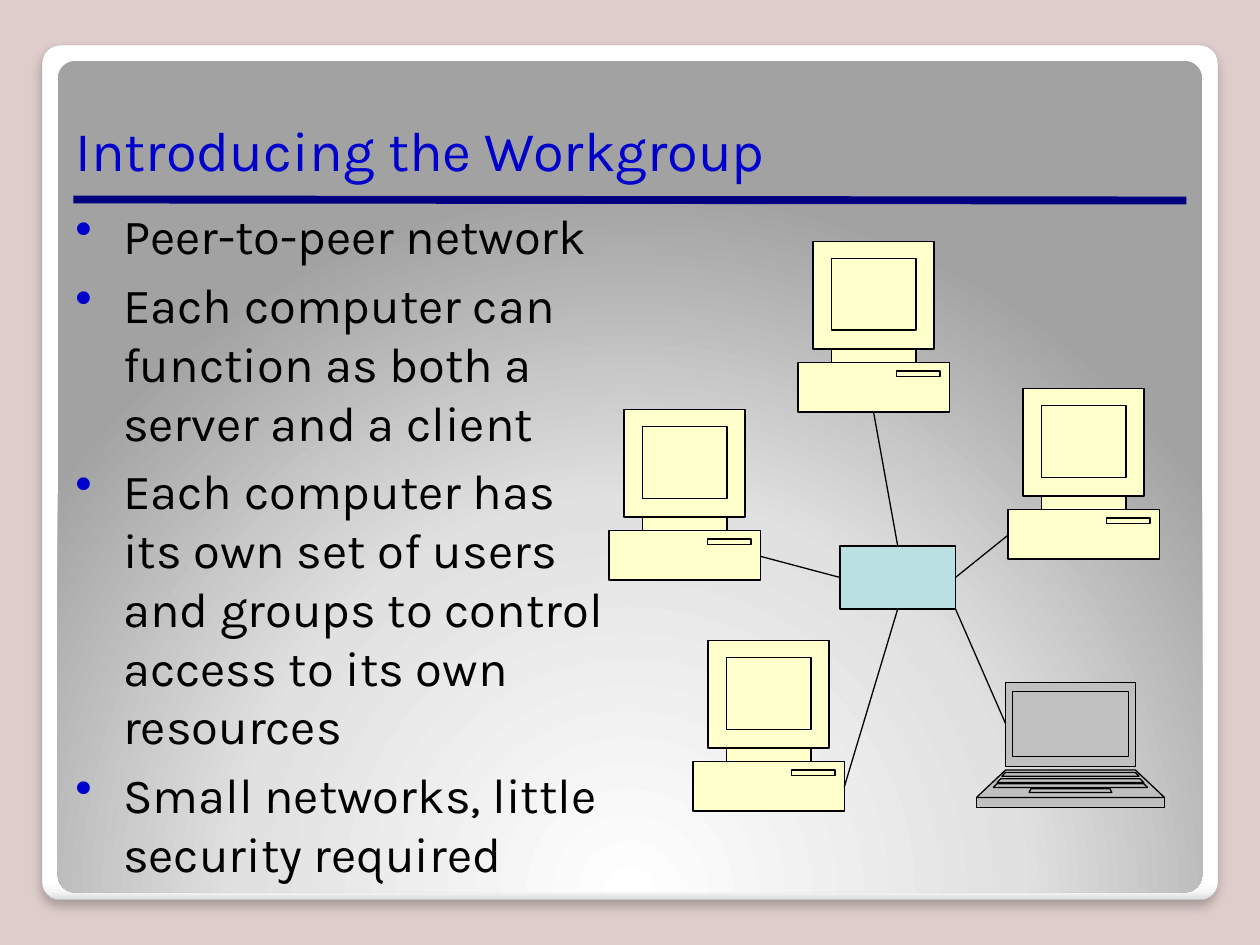
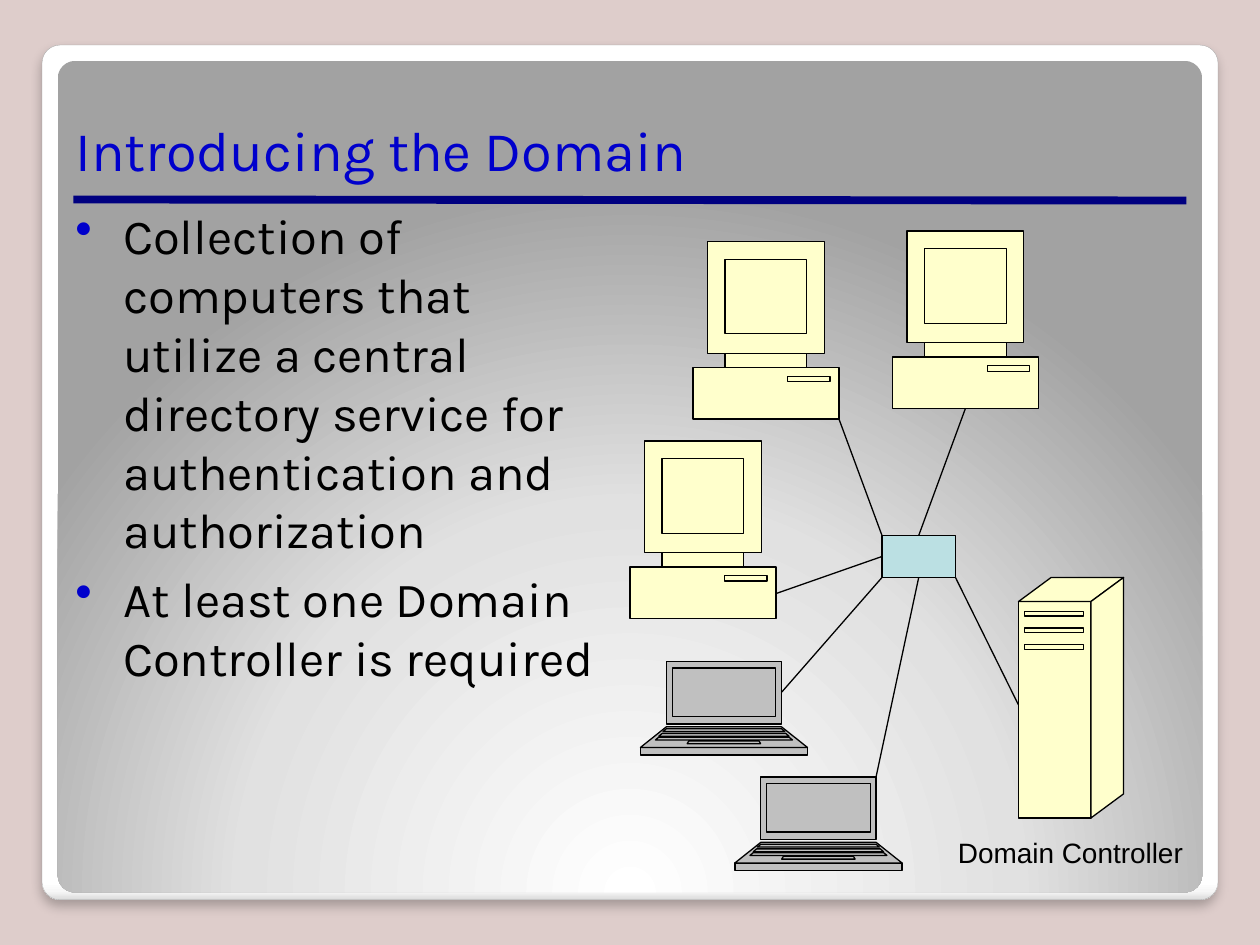
from collections import namedtuple
from itertools import pairwise

from lxml.etree import SubElement
from pptx import Presentation
from pptx.dml.color import RGBColor
from pptx.enum.shapes import MSO_CONNECTOR, MSO_SHAPE
from pptx.enum.text import MSO_ANCHOR, MSO_AUTO_SIZE, PP_ALIGN
from pptx.oxml.ns import qn
from pptx.util import Inches, Pt

COLUMNS, ROWS = 120, 90
WIDTH, HEIGHT = Inches(10), Inches(7.5)

BLACK, BLUE, NAVY = "000000", "0000CC", "000080"
BACKDROP, CARD_EDGE = "DECDCB", "A4A4A4"
CREAM, SILVER, HUB_BLUE = "FFFFCC", "C0C0C0", "BBE0E3"
CARD_STOPS = [(0, "FFFFFF"), (98, "FFFFFF"), (99, "F7F7F7"), (100, "DADADA")]
PANEL_STOPS = [(0, "FFFFFF"), (55, "E1E1E1"), (100, "A2A2A2")]

HUB_SITES = {(0.5, 0): 0, (0, 0.5): 1, (0.5, 1): 2, (1, 0.5): 3}


class Box(namedtuple("Box", "column row columns rows")):
    """A rectangle on the slide grid."""

    def point(self, across, down):
        """Slide position of a point given as shares of the box."""
        return (round((self.column + across * self.columns) * WIDTH / COLUMNS),
                round((self.row + down * self.rows) * HEIGHT / ROWS))

    def frame(self):
        left, top = self.point(0, 0)
        right, bottom = self.point(1, 1)
        return left, top, right - left, bottom - top


Device = namedtuple("Device", "draw box link hub_link")


def color(hex_string):
    return RGBColor.from_string(hex_string)


def add_xml(parent, tag, **attributes):
    return SubElement(parent, qn(tag), {name: str(value) for name, value in attributes.items()})


def paint(shape, fill=None, line=None, line_width=0.75):
    shape.shadow.inherit = False
    if fill:
        shape.fill.solid()
        shape.fill.fore_color.rgb = color(fill)
    else:
        shape.fill.background()
    if line:
        shape.line.color.rgb = color(line)
        shape.line.width = Pt(line_width)
    else:
        shape.line.fill.background()


def add_gradient(shape, stops, angle=None, focus=None):
    """Fill with colour stops, along an angle or around a focus rectangle (percent)."""
    properties = shape._element.spPr
    gradient = add_xml(properties, "a:gradFill", rotWithShape=1)
    stop_list = add_xml(gradient, "a:gsLst")
    for position, stop_color in stops:
        stop = add_xml(stop_list, "a:gs", pos=position * 1000)
        add_xml(stop, "a:srgbClr", val=stop_color)
    if focus:
        path = add_xml(gradient, "a:path", path="circle")
        add_xml(path, "a:fillToRect",
                **{side: share * 1000 for side, share in zip("ltrb", focus)})
    else:
        add_xml(gradient, "a:lin", ang=angle * 60000, scaled=0)
    properties.replace(properties.find(qn("a:noFill")), gradient)


def add_soft_shadow(shape):
    effects = shape._element.spPr.find(qn("a:effectLst"))
    shadow = add_xml(effects, "a:outerShdw", blurRad=Pt(6), dist=Pt(4), dir=90 * 60000,
                     algn="ctr", rotWithShape=0)
    shadow_color = add_xml(shadow, "a:srgbClr", val=BLACK)
    add_xml(shadow_color, "a:alpha", val=25000)


def add_line(slide, start, end, line_color=BLACK, width=0.75):
    connector = slide.shapes.add_connector(MSO_CONNECTOR.STRAIGHT, *start, *end)
    connector.line.color.rgb = color(line_color)
    connector.line.width = Pt(width)
    add_xml(connector._element.spPr, "a:effectLst")
    return connector


def add_bullet(paragraph, bullet_color):
    properties = paragraph._p.get_or_add_pPr()
    properties.set("marL", str(Inches(0.38)))
    properties.set("indent", str(-Inches(0.38)))
    holder = add_xml(properties, "a:buClr")
    add_xml(holder, "a:srgbClr", val=bullet_color)
    add_xml(properties, "a:buChar", char="•")


def add_text(slide, box, lines, size, font="Karla", text_color=BLACK, anchor=MSO_ANCHOR.TOP,
             align=PP_ALIGN.LEFT, wrap=True, bullet_color=None, space_before=0):
    text_box = slide.shapes.add_textbox(*box.frame())
    frame = text_box.text_frame
    frame.word_wrap = wrap
    frame.auto_size = MSO_AUTO_SIZE.NONE if wrap else MSO_AUTO_SIZE.SHAPE_TO_FIT_TEXT
    frame.vertical_anchor = anchor
    for index, line in enumerate(lines):
        paragraph = frame.add_paragraph() if index else frame.paragraphs[0]
        if bullet_color:
            add_bullet(paragraph, bullet_color)
        paragraph.alignment = align
        if index:
            paragraph.space_before = Pt(space_before)
        run = paragraph.add_run()
        run.text = line
        run.font.name = font
        run.font.size = Pt(size)
        run.font.color.rgb = color(text_color)


def rectangle(left, top, right, bottom):
    return [(left, top), (right, top), (right, bottom), (left, bottom)]


def trapezoid(top, bottom, top_inset, bottom_inset):
    return [(top_inset, top), (1 - top_inset, top),
            (1 - bottom_inset, bottom), (bottom_inset, bottom)]


def split_contours(path):
    """Give each contour its own path, so that later ones are painted over earlier ones."""
    for element in list(path):
        if element.tag == qn("a:moveTo"):
            part = add_xml(path.getparent(), "a:path", w=path.get("w"), h=path.get("h"))
        part.append(element)
    path.getparent().remove(path)


def add_outlines(slide, box, outlines, fill):
    """Draw polygons, given as shares of the box, as one freeform."""
    first, *others = [[box.point(*corner) for corner in outline] for outline in outlines]
    builder = slide.shapes.build_freeform(*first[0], scale=1.0)
    builder.add_line_segments(first[1:], close=True)
    for outline in others:
        builder.move_to(*outline[0])
        builder.add_line_segments(outline[1:], close=True)
    shape = builder.convert_to_shape()
    split_contours(shape._element.spPr.find(".//" + qn("a:path")))
    paint(shape, fill, BLACK)


def draw_computer(slide, box):
    monitor = rectangle(0.1, 0, 0.9, 0.63)
    screen = rectangle(0.22, 0.1, 0.78, 0.52)
    neck = rectangle(0.22, 0.63, 0.78, 0.71)
    case = rectangle(0, 0.71, 1, 1)
    drive = rectangle(0.65, 0.76, 0.94, 0.79)
    add_outlines(slide, box, [case, neck, monitor, screen, drive], CREAM)


def draw_laptop(slide, box):
    lid = trapezoid(0, 0.67, 0.155, 0.155)
    screen = trapezoid(0.07, 0.59, 0.19, 0.19)
    deck = trapezoid(0.7, 0.92, 0.155, 0)
    edge = trapezoid(0.92, 1, 0, 0)
    key_rows = [trapezoid(top, top + 0.03, inset, inset - 0.02)
                for top, inset in [(0.72, 0.155), (0.77, 0.13), (0.81, 0.11)]]
    touchpad = trapezoid(0.85, 0.88, 0.29, 0.28)
    add_outlines(slide, box, [lid, screen, edge, deck, *key_rows, touchpad], SILVER)


def draw_server(slide, box):
    front = rectangle(0, 0.1, 0.69, 1)
    roof = [(0, 0.1), (0.31, 0), (1, 0), (0.69, 0.1)]
    side = [(0.69, 0.1), (1, 0), (1, 0.9), (0.69, 1)]
    bays = [rectangle(0.06, 0.07 * n, 0.62, 0.07 * n + 0.02) for n in (2, 3, 4)]
    add_outlines(slide, box, [front, roof, side, *bays], CREAM)


def draw_network(slide, hub_box, devices):
    """Draw the devices around a hub and link each one to it."""
    for device in devices:
        device.draw(slide, device.box)
    hub = slide.shapes.add_shape(MSO_SHAPE.RECTANGLE, *hub_box.frame())
    paint(hub, HUB_BLUE, BLACK)
    for device in devices:
        link = add_line(slide, device.box.point(*device.link), hub_box.point(*device.hub_link))
        if device.hub_link in HUB_SITES:
            link.end_connect(hub, HUB_SITES[device.hub_link])


def add_card(slide, box, stops, **gradient):
    card = slide.shapes.add_shape(MSO_SHAPE.ROUNDED_RECTANGLE, *box.frame())
    card.adjustments[0] = 0.021
    paint(card)
    add_gradient(card, stops, **gradient)
    return card


def add_topic_slide(presentation, title, points):
    slide = presentation.slides.add_slide(presentation.slide_layouts[6])
    slide.background.fill.solid()
    slide.background.fill.fore_color.rgb = color(BACKDROP)

    card = add_card(slide, Box(4, 4.3, 112, 81.4), CARD_STOPS, angle=90)
    card.line.color.rgb = color(CARD_EDGE)
    card.line.width = Pt(0.16)
    add_soft_shadow(card)
    add_card(slide, Box(5.5, 5.8, 109, 79.2), PANEL_STOPS, focus=(50, 175, 50, -75))

    rule = Box(7, 19, 106, 0.1)
    add_line(slide, rule.point(0, 0), rule.point(1, 1), NAVY, 4.5)
    add_text(slide, Box(6, 6, 108, 12), [title], 32, text_color=BLUE, anchor=MSO_ANCHOR.BOTTOM)
    add_text(slide, Box(6, 19, 53, 66), points, 28, bullet_color=BLUE, space_before=5.6)
    return slide


def build_workgroup(presentation):
    slide = add_topic_slide(presentation, "Introducing the Workgroup", [
        "Peer-to-peer network",
        "Each computer can function as both a server and a client",
        "Each computer has its own set of users and groups to control access to its own resources",
        "Small networks, little security required",
    ])
    computer = (14.4, 16.25)
    draw_network(slide, Box(80, 52, 11, 6), [
        Device(draw_computer, Box(58, 39, *computer), (1, 0.86), (0, 0.5)),
        Device(draw_computer, Box(76, 23, *computer), (0.5, 1), (0.5, 0)),
        Device(draw_computer, Box(96, 37, *computer), (0, 0.86), (1, 0.5)),
        Device(draw_computer, Box(66, 61, *computer), (1, 0.86), (0.5, 1)),
        Device(draw_laptop, Box(93, 65, 17.9, 11.9), (0.155, 0.33), (1, 1)),
    ])


def build_domain(presentation):
    slide = add_topic_slide(presentation, "Introducing the Domain", [
        "Collection of computers that utilize a central directory service"
        " for authentication and authorization",
        "At least one Domain Controller is required",
    ])
    computer, laptop = (13.9, 16.9), (15.9, 8.9)
    draw_network(slide, Box(84, 51, 7, 4), [
        Device(draw_server, Box(97, 55, 10, 22.9), (0, 0.53), (1, 1)),
        Device(draw_laptop, Box(70, 74, *laptop), (0.845, 0), (0.5, 1)),
        Device(draw_laptop, Box(61, 63, *laptop), (0.845, 0.33), (0, 1)),
        Device(draw_computer, Box(60, 42, *computer), (1, 0.86), (0, 0.5)),
        Device(draw_computer, Box(66, 23, *computer), (1, 1), (0, 0)),
        Device(draw_computer, Box(85, 22, *computer), (0.5, 1), (0.5, 0)),
    ])
    add_text(slide, Box(89.75, 79, 24.1, 4.4), ["Domain Controller"], 16, font="Arial",
             align=PP_ALIGN.RIGHT, wrap=False)


def main():
    presentation = Presentation()
    presentation.slide_width, presentation.slide_height = WIDTH, HEIGHT
    build_workgroup(presentation)
    build_domain(presentation)
    presentation.save("out.pptx")


if __name__ == "__main__":
    main()
